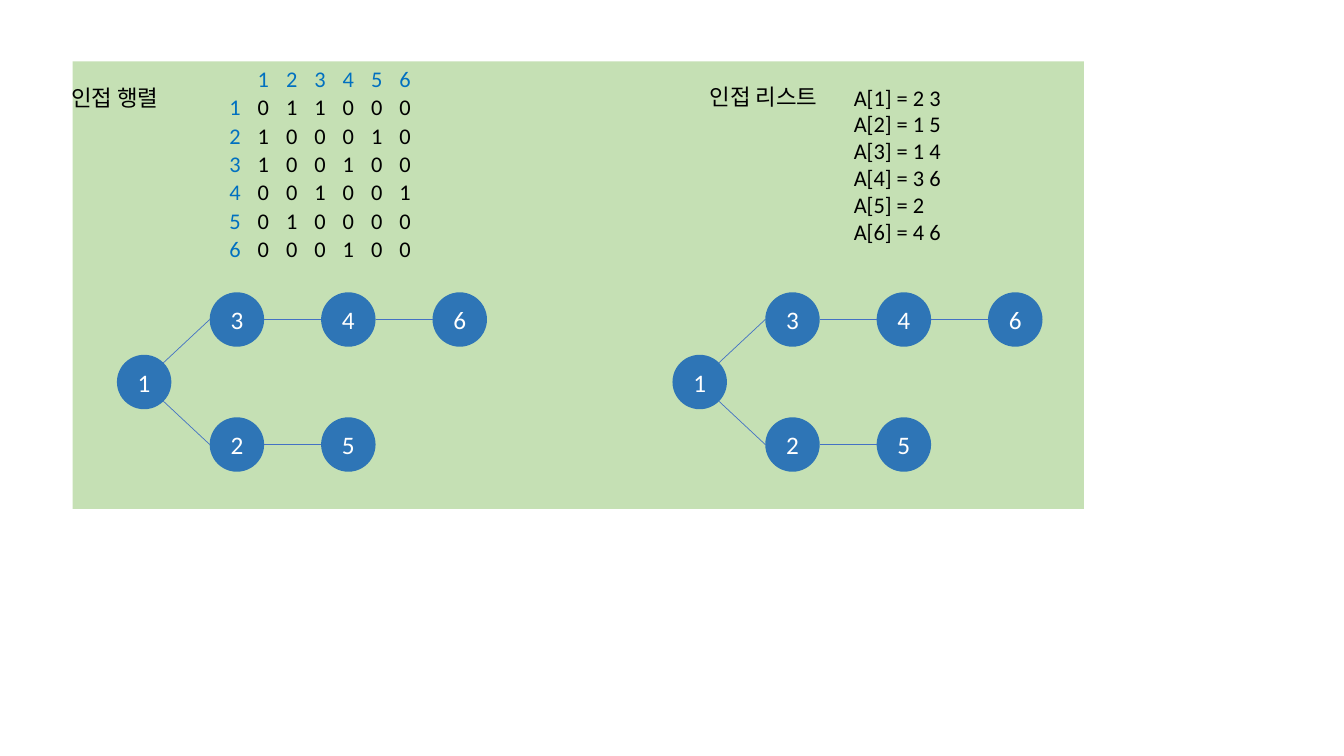
from math import sqrt
from dataclasses import dataclass
from lxml.etree import SubElement
from pptx import Presentation
from pptx.dml.color import RGBColor
from pptx.enum.shapes import MSO_CONNECTOR, MSO_SHAPE
from pptx.enum.text import MSO_ANCHOR, MSO_AUTO_SIZE, PP_ALIGN
from pptx.oxml.ns import qn
from pptx.util import Inches, Pt


@dataclass(frozen=True)
class Theme:
    font: str = "Calibri"
    body_size: int = 16
    node_size: int = 18
    panel: RGBColor = RGBColor(0xC5, 0xE0, 0xB4)
    node: RGBColor = RGBColor(0x2E, 0x75, 0xB6)
    edge: RGBColor = RGBColor(0x44, 0x72, 0xC4)
    header: RGBColor = RGBColor(0x00, 0x70, 0xC0)
    black: RGBColor = RGBColor(0, 0, 0)
    white: RGBColor = RGBColor(255, 255, 255)


theme = Theme()


def write_text(frame, text, size=theme.body_size, color=theme.black, align=PP_ALIGN.LEFT):
    frame.text = text
    for paragraph in frame.paragraphs:
        paragraph.alignment = align
        for run in paragraph.runs:
            run.font.name = theme.font
            run.font.size = Pt(size)
            run.font.color.rgb = color


def add_filled_shape(shapes, kind, left, top, width, height, color):
    shape = shapes.add_shape(kind, Inches(left), Inches(top), Inches(width), Inches(height))
    shape.shadow.inherit = False
    shape.fill.solid()
    shape.fill.fore_color.rgb = color
    shape.line.fill.background()
    return shape


presentation = Presentation()
presentation.slide_width = Inches(13.33)
presentation.slide_height = Inches(7.5)
slide = presentation.slides.add_slide(presentation.slide_layouts[6])

# Background panel
add_filled_shape(slide.shapes, MSO_SHAPE.RECTANGLE, 0.72, 0.61, 10.03, 4.44, theme.panel)

# The same graph under both representations
diameter = 0.54
radius = diameter / 2
diagonal = radius * sqrt(0.5)
first_column, column_step = 2.35, 1.105
upper_row, middle_row, lower_row = 3.17, 3.79, 4.41
node_centers = {
    1: (1.43, middle_row),
    2: (first_column, lower_row),
    3: (first_column, upper_row),
    4: (first_column + column_step, upper_row),
    5: (first_column + column_step, lower_row),
    6: (first_column + 2 * column_step, upper_row),
}
edges = [(1, 3), (1, 2), (3, 4), (2, 5), (4, 6)]

for graph_offset in (0, 5.51):
    graph = slide.shapes.add_group_shape()
    for number, (x, y) in node_centers.items():
        node = add_filled_shape(graph.shapes, MSO_SHAPE.OVAL, graph_offset + x - radius,
                                y - radius, diameter, diameter, theme.node)
        frame = node.text_frame
        frame.margin_left = frame.margin_right = frame.margin_top = frame.margin_bottom = 0
        frame.vertical_anchor = MSO_ANCHOR.MIDDLE
        write_text(frame, str(number), size=theme.node_size, color=theme.white,
                   align=PP_ALIGN.CENTER)
    for start, end in edges:
        (start_x, start_y), (end_x, end_y) = node_centers[start], node_centers[end]
        # Sloping edges leave the node at 45 degrees, level ones at its side
        if start_y == end_y:
            start_x += radius
        else:
            start_x += diagonal
            start_y += diagonal if end_y > start_y else -diagonal
        edge = graph.shapes.add_connector(
            MSO_CONNECTOR.STRAIGHT, Inches(graph_offset + start_x), Inches(start_y),
            Inches(graph_offset + end_x - radius), Inches(end_y))
        edge.line.color.rgb = theme.edge
        edge.line.width = Pt(0.5)
        SubElement(edge._element.spPr, qn("a:effectLst"))

# Titles and adjacency list
adjacency_list = "\n".join([
    "A[1] = 2 3", "A[2] = 1 5", "A[3] = 1 4", "A[4] = 3 6", "A[5] = 2", "A[6] = 4 6"])
for text, left, top, height in [
    ("인접 행렬", 0.61, 0.78, 0.37),
    (adjacency_list, 8.37, 0.77, 1.72),
    ("인접 리스트", 6.94, 0.77, 0.37),
]:
    box = slide.shapes.add_textbox(Inches(left), Inches(top), Inches(1.74), Inches(height))
    box.text_frame.word_wrap = False
    box.text_frame.auto_size = MSO_AUTO_SIZE.SHAPE_TO_FIT_TEXT
    box.text_frame.vertical_anchor = MSO_ANCHOR.MIDDLE
    write_text(box.text_frame, text)

# Adjacency matrix, with node numbers as row and column headings
matrix = ["011000", "100010", "100100", "001001", "010000", "000100"]
rows = [["", *"123456"]]
rows += [[str(number), *values] for number, values in enumerate(matrix, start=1)]
count = len(rows)
table_size = Inches(1.97)
table = slide.shapes.add_table(count, count, Inches(2.19), Inches(0.65),
                               table_size, table_size).table
table.first_row = table.horz_banding = False
no_style_no_grid = "{2D5ABB26-0587-4C30-8999-92F81FD0307C}"
table._tbl.tblPr.find(qn("a:tableStyleId")).text = no_style_no_grid
for row_index, row in enumerate(rows):
    for column_index, value in enumerate(row):
        cell = table.cell(row_index, column_index)
        cell.fill.background()
        cell.margin_left = cell.margin_right = cell.margin_top = cell.margin_bottom = 0
        cell.vertical_anchor = MSO_ANCHOR.MIDDLE
        is_heading = row_index == 0 or column_index == 0
        write_text(cell.text_frame, value, color=theme.header if is_heading else theme.black,
                   align=PP_ALIGN.CENTER)

# The empty corner keeps the body size so that its row does not grow
corner = table.cell(0, 0).text_frame.paragraphs[0]
SubElement(corner._p, qn("a:endParaRPr"), sz=str(theme.body_size * 100))

presentation.save("out.pptx")
